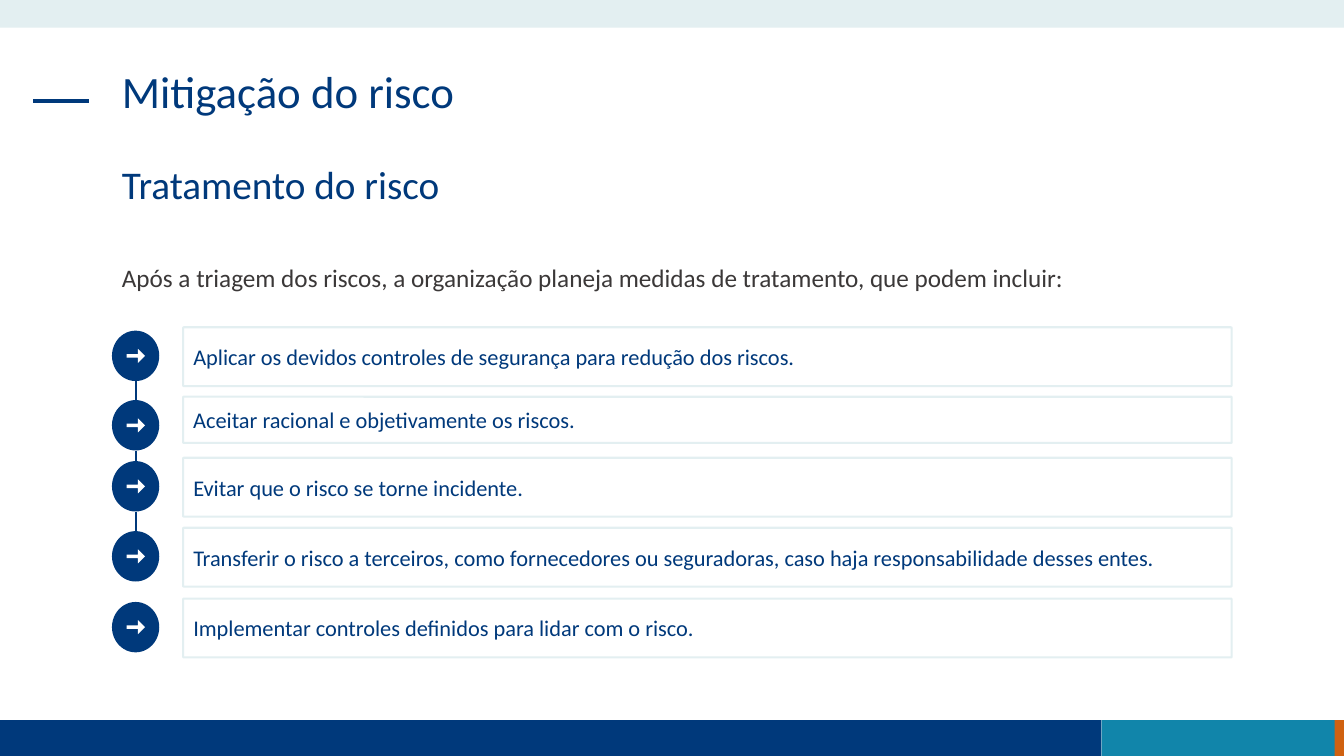
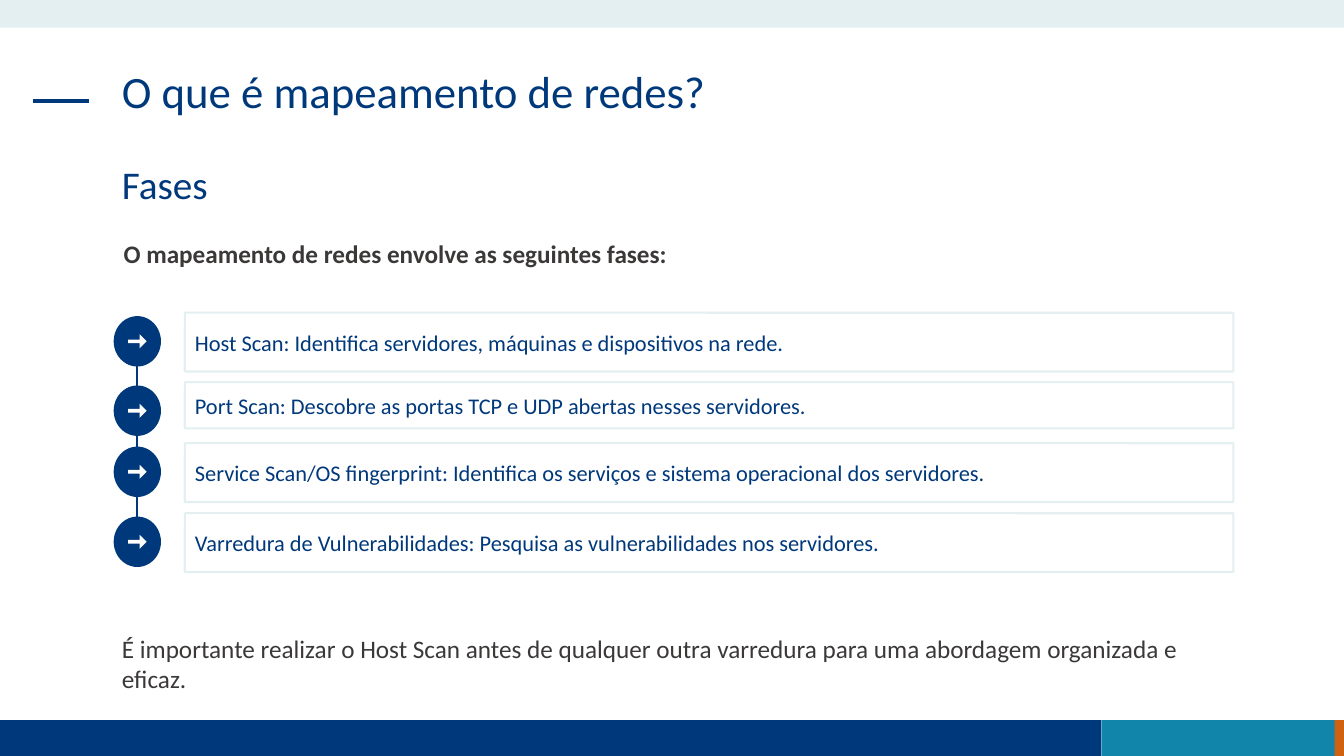
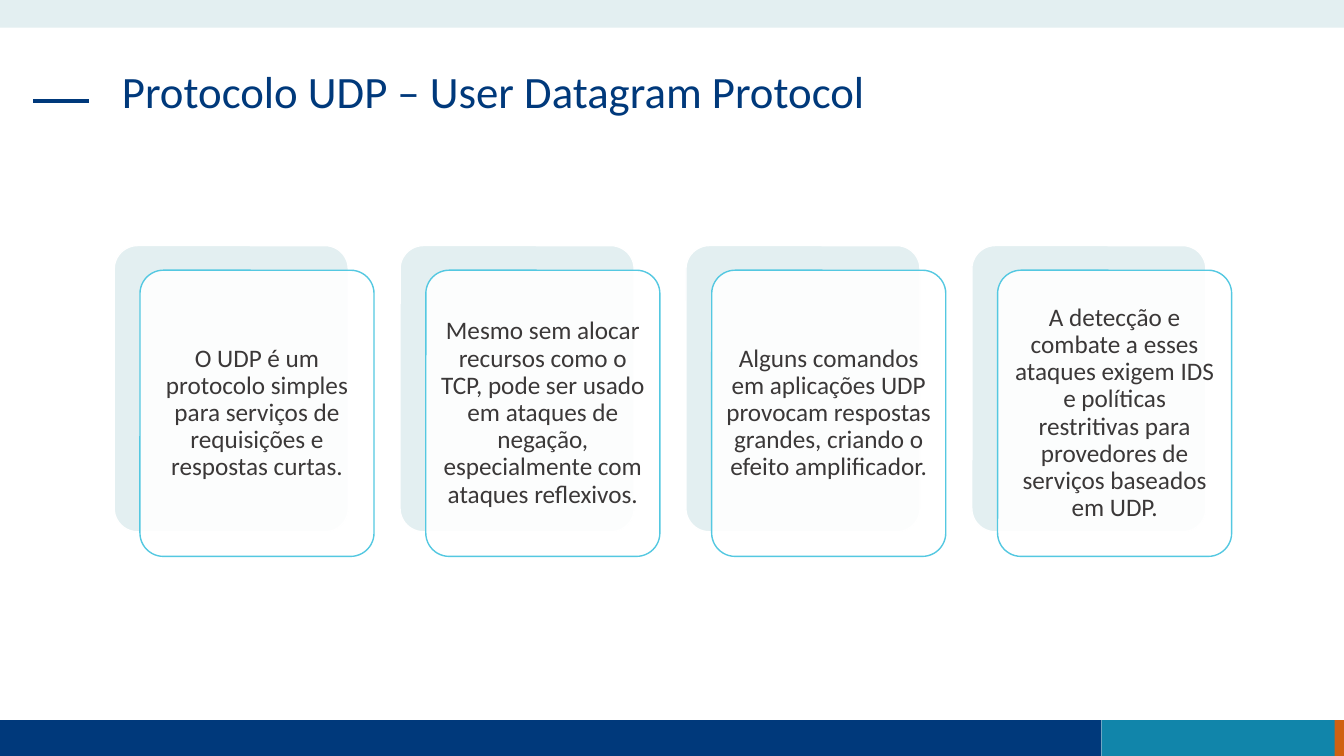
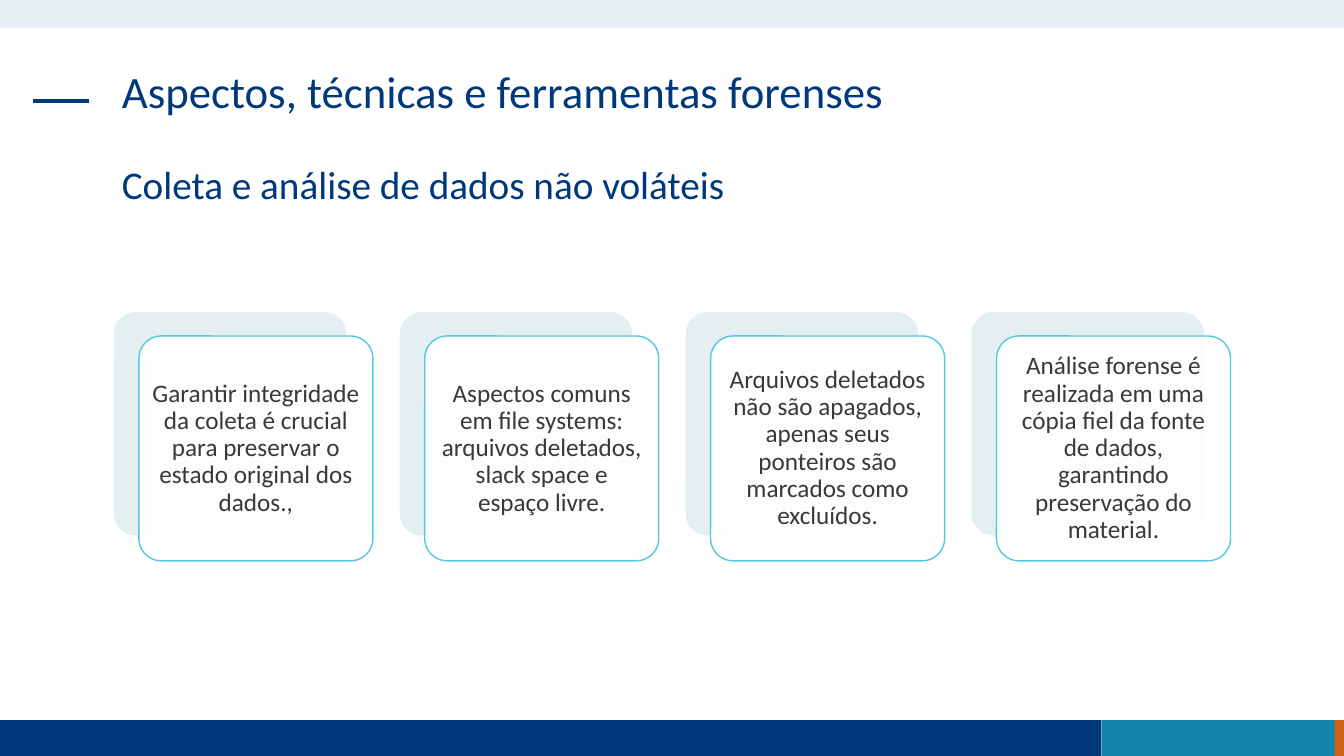
from lxml import etree
from pptx import Presentation
from pptx.dml.color import RGBColor
from pptx.enum.shapes import MSO_CONNECTOR as LINK, MSO_SHAPE as SHAPE
from pptx.enum.text import MSO_ANCHOR as ANCHOR, PP_ALIGN as ALIGN
from pptx.oxml.ns import qn
from pptx.util import Pt

WIDTH, HEIGHT = 960, 540
FOOTER_TOP = 514.4
ROWS = ((0, 42), (49.6, 33), (93.2, 42), (143.2, 42), (193.8, 42))
LINKED_STEPS = 4


def color(code):
    return RGBColor.from_string(code)


def write(shape, text, size=18, ink="3B3838", bold=False, spacing=1.0,
          align=ALIGN.LEFT, anchor=ANCHOR.TOP, insets=(7.2, 3.6)):
    frame = shape.text_frame
    frame.word_wrap = True
    frame.vertical_anchor = anchor
    frame.margin_left = frame.margin_right = Pt(insets[0])
    frame.margin_top = frame.margin_bottom = Pt(insets[1])
    paragraph = frame.paragraphs[0]
    paragraph.alignment = align
    paragraph.line_spacing = spacing
    run = paragraph.add_run()
    run.text = text
    run.font.name = "Calibri"
    run.font.size = Pt(size)
    run.font.bold = bold
    run.font.color.rgb = color(ink)


class Deck:
    navy, teal, orange = "00397B", "1185AA", "D06110"
    mist, sky, white = "E3EFF1", "54C8E1", "FFFFFF"

    def __init__(self):
        self.deck = Presentation()
        self.deck.slide_width, self.deck.slide_height = Pt(WIDTH), Pt(HEIGHT)
        self.slide = None

    def page(self, title, subtitle=None):
        self.slide = self.deck.slides.add_slide(self.deck.slide_layouts[6])
        footer_height = HEIGHT - FOOTER_TOP
        for left, right, fill in ((930, WIDTH, self.orange),
                                  (0, 786.8, self.navy),
                                  (786.8, 953.4, self.teal)):
            self.shape(SHAPE.RECTANGLE, left, FOOTER_TOP, right - left,
                       footer_height, fill)
        self.shape(SHAPE.RECTANGLE, 0, 0, WIDTH, 19.8, self.mist)
        self.line(23.6, 72, 63.6, 72, 3)
        self.text(title, 80, 46, 799, 68, size=32, ink=self.navy, spacing=0.9)
        if subtitle:
            self.text(subtitle, 80, 114.5, 799, 68, size=28, ink=self.navy,
                      spacing=0.9)

    def shape(self, kind, left, top, width, height, fill=None, outline=None,
              weight=1, adjust=(), alpha=None):
        shape = self.slide.shapes.add_shape(
            kind, Pt(left), Pt(top), Pt(width), Pt(height))
        shape.shadow.inherit = False
        for index, value in enumerate(adjust):
            shape.adjustments[index] = value
        if fill:
            shape.fill.solid()
            shape.fill.fore_color.rgb = color(fill)
        else:
            shape.fill.background()
        if alpha:
            tint = shape.fill._xPr.find(".//" + qn("a:srgbClr"))
            etree.SubElement(tint, qn("a:alpha")).set("val", str(alpha * 1000))
        if outline:
            shape.line.color.rgb = color(outline)
            shape.line.width = Pt(weight)
        else:
            shape.line.fill.background()
        return shape

    def line(self, x1, y1, x2, y2, weight):
        line = self.slide.shapes.add_connector(
            LINK.STRAIGHT, Pt(x1), Pt(y1), Pt(x2), Pt(y2))
        line.line.color.rgb = color(self.navy)
        line.line.width = Pt(weight)
        etree.SubElement(line._element.spPr, qn("a:effectLst"))

    def text(self, text, left, top, width, height, **style):
        box = self.slide.shapes.add_textbox(
            Pt(left), Pt(top), Pt(width), Pt(height))
        write(box, text, **style)

    def steps(self, left, top, items):
        disc_width, disc_height = 33.8, 36
        center = left + disc_width / 2
        previous_bottom = None
        for number, (item, (offset, height)) in enumerate(zip(items, ROWS), 1):
            row_top = top + offset
            disc_top = row_top + 2.4
            if previous_bottom and number <= LINKED_STEPS:
                self.line(center, previous_bottom, center, disc_top, 1.5)
            previous_bottom = disc_top + disc_height
            self.shape(SHAPE.OVAL, left, disc_top, disc_width, disc_height,
                       self.navy)
            self.shape(SHAPE.RIGHT_ARROW, left + 10.4, disc_top + 13, 13.2, 10,
                       self.white, adjust=(0.255, 0.5))
            row = self.shape(SHAPE.ROUNDED_RECTANGLE, left + 50.8, row_top,
                             749, height, outline=self.mist, weight=1.5,
                             adjust=(0.016,))
            write(row, item, size=16, ink=self.navy, anchor=ANCHOR.MIDDLE)

    def cards(self, left, top, height, items):
        width, pitch = 167.2, 204.2
        for column, item in enumerate(items):
            card_left = left + column * pitch
            self.shape(SHAPE.ROUNDED_RECTANGLE, card_left, top, width, height,
                       self.mist, self.white, adjust=(0.1,))
            card = self.shape(SHAPE.ROUNDED_RECTANGLE, card_left + 18.4,
                              top + 17.6, width, height, self.white, self.sky,
                              adjust=(0.1,), alpha=90)
            write(card, item, spacing=0.9, align=ALIGN.CENTER,
                  anchor=ANCHOR.MIDDLE, insets=(5, 5))


def main():
    show = Deck()

    show.page("Mitigação do risco", "Tratamento do risco")
    show.text("Após a triagem dos riscos, a organização planeja medidas de "
              "tratamento, que podem incluir:", 80, 183.6, 799, 29)
    show.steps(80, 233.8, (
        "Aplicar os devidos controles de segurança para redução dos riscos.",
        "Aceitar racional e objetivamente os riscos.",
        "Evitar que o risco se torne incidente.",
        "Transferir o risco a terceiros, como fornecedores ou seguradoras, "
        "caso haja responsabilidade desses entes.",
        "Implementar controles definidos para lidar com o risco.",
    ))

    show.page("O que é mapeamento de redes?", "Fases")
    show.steps(81.2, 223.4, (
        "Host Scan: Identifica servidores, máquinas e dispositivos na rede.",
        "Port Scan: Descobre as portas TCP e UDP abertas nesses servidores.",
        "Service Scan/OS fingerprint: Identifica os serviços e sistema "
        "operacional dos servidores.",
        "Varredura de Vulnerabilidades: Pesquisa as vulnerabilidades nos "
        "servidores.",
    ))
    show.text("O mapeamento de redes envolve as seguintes fases:",
              81.2, 167, 480, 51, bold=True)
    show.text("É importante realizar o Host Scan antes de qualquer outra "
              "varredura para uma abordagem organizada e eficaz.",
              80, 448.6, 799, 51)

    show.page("Protocolo UDP – User Datagram Protocol")
    show.cards(81.6, 175.4, 204.4, (
        "O UDP é um protocolo simples para serviços de requisições e "
        "respostas curtas.",
        "Mesmo sem alocar recursos como o TCP, pode ser usado em ataques de "
        "negação, especialmente com ataques reflexivos.",
        "Alguns comandos em aplicações UDP provocam respostas grandes, "
        "criando o efeito amplificador.",
        "A detecção e combate a esses ataques exigem IDS e políticas "
        "restritivas para provedores de serviços baseados em UDP.",
    ))

    show.page("Aspectos, técnicas e ferramentas forenses",
              "Coleta e análise de dados não voláteis")
    show.cards(80.8, 222.4, 160.6, (
        "Garantir integridade da coleta é crucial para preservar o estado "
        "original dos dados.,",
        "Aspectos comuns em file systems: arquivos deletados, slack space e "
        "espaço livre.",
        "Arquivos deletados não são apagados, apenas seus ponteiros são "
        "marcados como excluídos.",
        "Análise forense é realizada em uma cópia fiel da fonte de dados, "
        "garantindo preservação do material.",
    ))

    show.deck.save("out.pptx")


if __name__ == "__main__":
    main()
